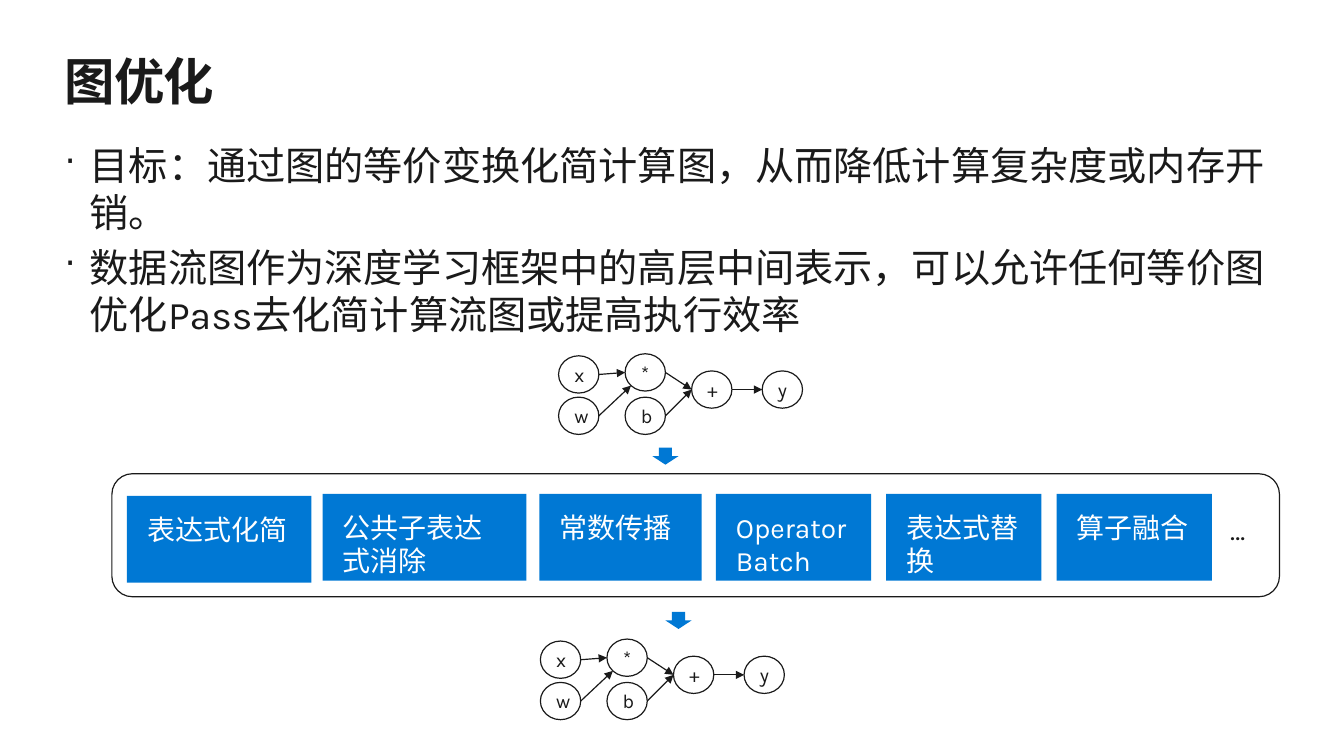
from dataclasses import dataclass
from math import sqrt

from lxml.etree import SubElement
from pptx import Presentation
from pptx.dml.color import RGBColor
from pptx.enum.shapes import MSO_CONNECTOR, MSO_SHAPE as Shape
from pptx.enum.text import MSO_ANCHOR as Anchor, PP_ALIGN as Align
from pptx.oxml.ns import qn
from pptx.util import Inches, Pt


@dataclass(frozen=True)
class Theme:
    font: str = "Karla"
    ink: RGBColor = RGBColor(0x1A, 0x1A, 0x1A)
    white: RGBColor = RGBColor(0xFF, 0xFF, 0xFF)
    accent: RGBColor = RGBColor(0x00, 0x78, 0xD4)
    title: int = 36
    body: int = 28
    label: int = 20
    node: int = 14
    line: float = 0.85


THEME = Theme()

TITLE = "图优化"
POINTS = [
    "目标：通过图的等价变换化简计算图，从而降低计算复杂度或内存开销。",
    "数据流图作为深度学习框架中的高层中间表示，可以允许任何等价图优化Pass去化简计算流图或提高执行效率",
]
# Node label: left, top within its graph
NODES = {
    "x": (0, 0.02),
    "w": (0, 0.43),
    "b": (0.66, 0.43),
    "*": (0.66, 0),
    "+": (1.32, 0.17),
    "y": (2.02, 0.17),
}
# From, to, side of the target that is met
EDGES = [
    ("x", "*", "left"),
    ("w", "*", "lower left"),
    ("b", "+", "left"),
    ("*", "+", "left"),
    ("+", "y", "left"),
]
GRAPH_ORIGINS = [(5.54, 3.51), (5.36, 6.34)]
NODE_W, NODE_H = 0.4, 0.37
DOWN_ARROWS = [(6.47, 4.44), (6.6, 6.07)]
# Pass name, left, top, width
PASSES = [
    ("表达式化简", 1.26, 4.92, 1.83),
    ("公共子表达式消除", 3.2, 4.9, 2.02),
    ("常数传播", 5.35, 4.9, 1.61),
    ("Operator Batch", 7.1, 4.9, 1.54),
    ("表达式替换", 8.79, 4.9, 1.54),
    ("算子融合", 10.48, 4.9, 1.54),
]
PASS_H = 0.86
MORE = "…"


def style(paragraph, size, color, align=Align.LEFT, bold=False):
    paragraph.alignment = align
    font = paragraph.font
    font.name, font.size, font.bold = THEME.font, Pt(size), bold
    font.color.rgb = color


def set_insets(frame, across=0, down=0):
    frame.margin_left = frame.margin_right = Inches(across)
    frame.margin_top = frame.margin_bottom = Inches(down)


def add_block(shapes, preset, box, fill, outlined=False):
    block = shapes.add_shape(preset, *map(Inches, box))
    block.shadow.inherit = False
    block.fill.solid()
    block.fill.fore_color.rgb = fill
    if outlined:
        block.line.color.rgb = THEME.ink
        block.line.width = Pt(THEME.line)
    else:
        block.line.fill.background()
    return block


def add_edge(shapes, start, end):
    edge = shapes.add_connector(MSO_CONNECTOR.STRAIGHT, *map(Inches, start + end))
    edge.line.color.rgb = THEME.ink
    edge.line.width = Pt(THEME.line)
    SubElement(edge.line._get_or_add_ln(), qn("a:tailEnd"), type="triangle")
    SubElement(edge._element.spPr, qn("a:effectLst"))


def add_graph(slide, left, top):
    shapes = slide.shapes.add_group_shape().shapes
    centres = {}
    for label, (dx, dy) in NODES.items():
        x, y = left + dx, top + dy
        centres[label] = (x + NODE_W / 2, y + NODE_H / 2)
        node = add_block(shapes, Shape.OVAL, (x, y, NODE_W, NODE_H), THEME.white, True)
        frame = node.text_frame
        frame.text = label
        frame.vertical_anchor = Anchor.MIDDLE
        style(frame.paragraphs[0], THEME.node, THEME.ink, Align.CENTER)

    diagonal = 1 / sqrt(2)
    directions = {"left": (-1, 0), "lower left": (-diagonal, diagonal)}
    for source, target, side in EDGES:
        (x1, y1), (x2, y2) = centres[source], centres[target]
        across, down = directions[side]
        add_edge(
            shapes,
            (x1 + NODE_W / 2, y1),
            (x2 + across * NODE_W / 2, y2 + down * NODE_H / 2),
        )


def add_title(slide):
    title = slide.shapes.title
    title.left, title.top, title.width, title.height = map(Inches, (0.64, 0.5, 12.05, 0.61))
    frame = title.text_frame
    frame.text = TITLE
    frame.vertical_anchor = Anchor.TOP
    set_insets(frame)
    heading = frame.paragraphs[0]
    style(heading, THEME.title, THEME.ink, bold=True)
    heading.runs[0].font._element.set("spc", "-50")


def add_points(slide):
    frame = slide.shapes.add_textbox(*map(Inches, (0.64, 1.4, 12.05, 1.98))).text_frame
    frame.word_wrap = True
    set_insets(frame)
    for index, point in enumerate(POINTS):
        paragraph = frame.paragraphs[0] if index == 0 else frame.add_paragraph()
        paragraph.text = point
        paragraph.space_before = Pt(THEME.body * 0.2)
        properties = paragraph._p.get_or_add_pPr()
        properties.set("marL", str(Inches(0.25)))
        properties.set("indent", str(Inches(-0.25)))
        SubElement(properties, qn("a:buSzPct"), val="90000")
        SubElement(properties, qn("a:buChar"), char="·")
        style(paragraph, THEME.body, THEME.ink)


def add_passes(slide):
    for name, left, top, width in PASSES:
        box = (left, top, width, PASS_H)
        frame = add_block(slide.shapes, Shape.RECTANGLE, box, THEME.accent).text_frame
        frame.text = name
        frame.word_wrap = True
        frame.vertical_anchor = Anchor.TOP
        set_insets(frame, 0.2, 0.16)
        style(frame.paragraphs[0], THEME.label, THEME.white)

    more = slide.shapes.add_textbox(*map(Inches, (12.2, 5.08, 0.21, 0.34))).text_frame
    more.text = MORE
    more.word_wrap = False
    set_insets(more)
    style(more.paragraphs[0], THEME.label, THEME.ink)


def main():
    deck = Presentation()
    deck.slide_width, deck.slide_height = Inches(13.33), Inches(7.5)
    slide = deck.slides.add_slide(deck.slide_layouts[5])
    add_title(slide)
    add_points(slide)
    for origin in GRAPH_ORIGINS:
        add_graph(slide, *origin)
    add_block(slide.shapes, Shape.ROUNDED_RECTANGLE, (1.11, 4.7, 11.58, 1.22), THEME.white, True)
    for left, top in DOWN_ARROWS:
        add_block(slide.shapes, Shape.DOWN_ARROW, (left, top, 0.26, 0.17), THEME.accent)
    add_passes(slide)
    deck.save("out.pptx")


if __name__ == "__main__":
    main()
